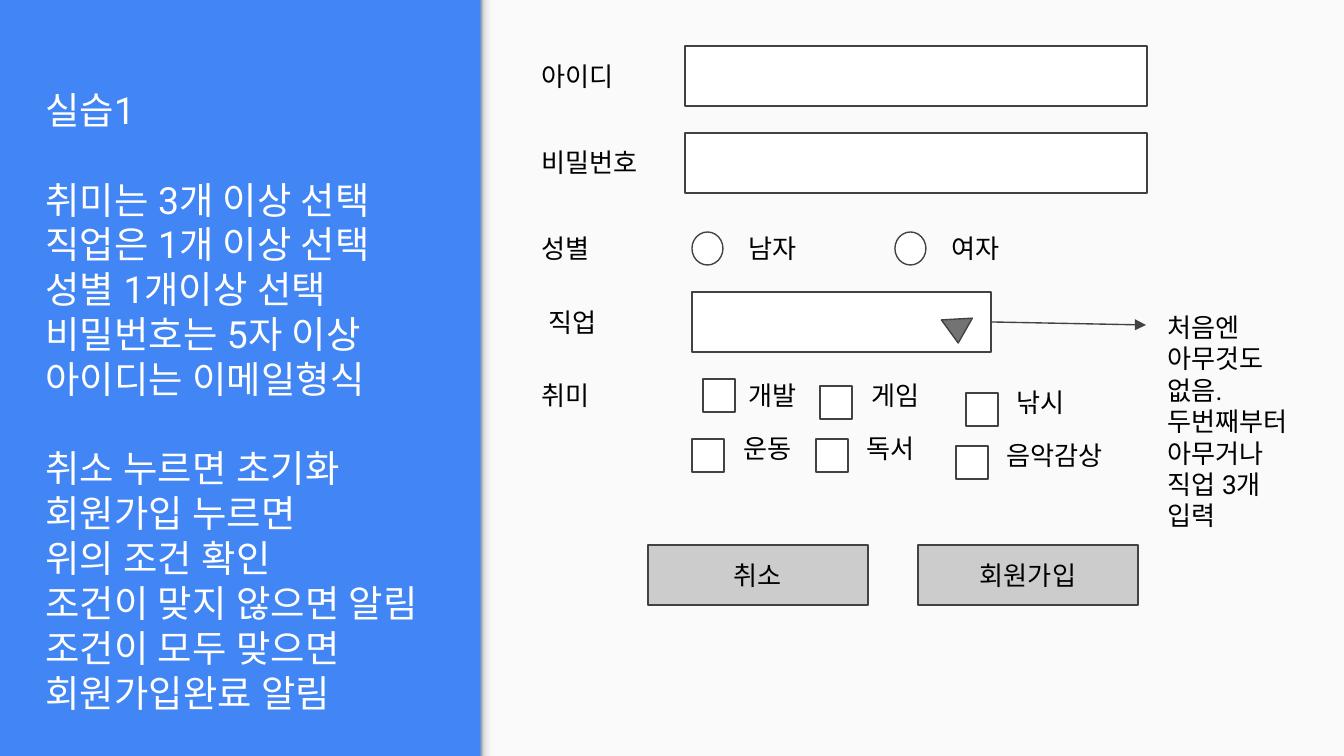
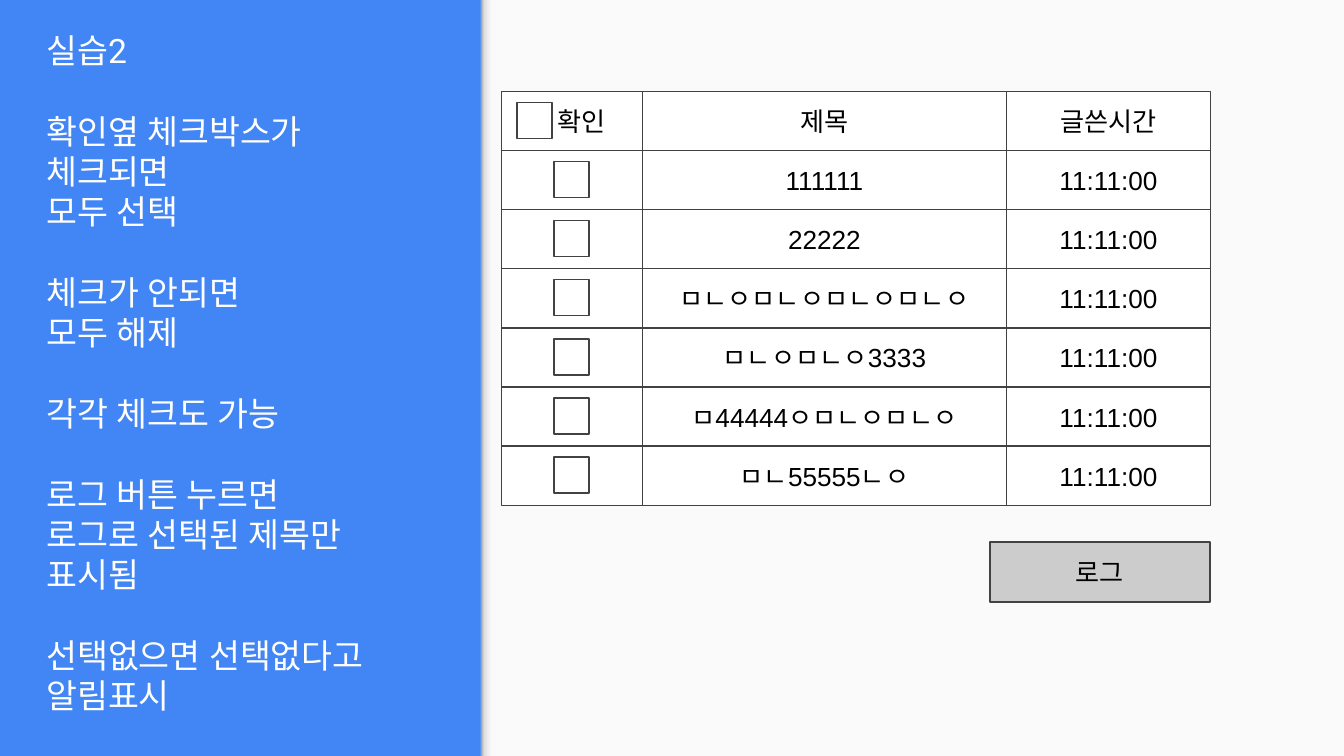
"""Build two exercise slides: a sign-up form and a checkable post list."""
from itertools import accumulate
from lxml.etree import SubElement
from pptx import Presentation
from pptx.dml.color import RGBColor
from pptx.enum.shapes import MSO_CONNECTOR as Connector, MSO_SHAPE as Shape
from pptx.enum.text import MSO_ANCHOR as Anchor, PP_ALIGN as Align
from pptx.oxml.ns import qn
from pptx.util import Emu, Pt

COLORS = {
    "blue": "4285F4", "panel": "FAFAFA", "white": "FFFFFF", "black": "000000",
    "line": "424242", "button": "CCCCCC", "arrow": "737373",
}
EDGE_SHADE = [(0, "999999"), (20, "DEDEDE"), (64, "F9F9F9"), (100, "F9F9F9")]
PANEL_LEFT, WIDTH, HEIGHT = 481, 1344, 756
INSET, LINE_WIDTH, BODY_SIZE = 13.44, 0.75, 14
LABEL_SIZE, FIELD_HEIGHT = (144, 59), 60
BUTTON_SIZE = (220, 60)

FORM_GUIDE = [
    ["실습1"],
    ["취미는 3개 이상 선택", "직업은 1개 이상 선택", "성별 1개이상 선택",
     "비밀번호는 5자 이상", "아이디는 이메일형식"],
    ["취소 누르면 초기화", "회원가입 누르면", "위의 조건 확인",
     "조건이 맞지 않으면 알림", "조건이 모두 맞으면 회원가입완료 알림"],
]
LIST_GUIDE = [
    ["실습2"],
    ["확인옆 체크박스가", "체크되면", "모두 선택"],
    ["체크가 안되면", "모두 해제"],
    ["각각 체크도 가능"],
    ["로그 버튼 누르면", "로그로 선택된 제목만 표시됨"],
    ["선택없으면 선택없다고 알림표시"],
]
FORM_LABELS = [("아이디", 528, 47), ("비밀번호", 528, 133), ("성별", 528, 219),
               ("직업", 535, 293), ("취미", 528, 366)]
INPUT_TOPS = [46, 133]
GENDERS = [("남자", 692), ("여자", 895)]
HOBBIES = [
    ("개발", (703, 379), (735, 366)), ("게임", (820, 386), (858, 366)),
    ("낚시", (966, 393), (1003, 373)), ("운동", (692, 439), (730, 419)),
    ("독서", (816, 439), (853, 419)), ("음악감상", (956, 446), (993, 426)),
]
FORM_BUTTONS = [("취소", 648), ("회원가입", 918)]
JOB_NOTE = ["처음엔 아무것도 없음.", "두번째부터 아무거나 직업 3개 입력"]

POST_HEADER = ["확인", "제목", "글쓴시간"]
POST_TITLES = ["111111", "22222", "ㅁㄴㅇㅁㄴㅇㅁㄴㅇㅁㄴㅇ", "ㅁㄴㅇㅁㄴㅇ3333",
               "ㅁ44444ㅇㅁㄴㅇㅁㄴㅇ", "ㅁㄴ55555ㄴㅇ"]
POST_TIME = "11:11:00"
LIST_LEFT, LIST_TOP, ROW_HEIGHT = 501.5, 91.4, 59.14
COLUMN_WIDTHS = [141, 364, 204]


def px(value):
    return Emu(round(value * 914400 / 134.4))


def color(name):
    return RGBColor.from_string(COLORS[name])


def add_run(paragraph, text, size, font, text_color):
    run = paragraph.add_run()
    run.text = text
    run.font.size, run.font.name = Pt(size), font
    run.font.color.rgb = color(text_color)
    SubElement(run.font._element, qn("a:ea"), typeface=font)


def set_margins(frame, left=INSET):
    frame.margin_left = px(left)
    frame.margin_right = frame.margin_top = frame.margin_bottom = px(INSET)


def add_shape(slide, kind, left, top, width, height, fill="white", line="line"):
    shape = slide.shapes.add_shape(kind, px(left), px(top), px(width), px(height))
    shape.shadow.inherit = False
    shape.fill.solid()
    shape.fill.fore_color.rgb = color(fill)
    if line:
        shape.line.color.rgb = color(line)
        shape.line.width = Pt(LINE_WIDTH)
    else:
        shape.line.fill.background()
    return shape


def add_text(slide, groups, left, top, width, height, size=BODY_SIZE,
             text_color="black", anchor=Anchor.TOP):
    frame = slide.shapes.add_textbox(px(left), px(top), px(width), px(height)).text_frame
    frame.word_wrap, frame.vertical_anchor = True, anchor
    set_margins(frame)
    paragraph = None
    for group in groups:
        for index, text in enumerate(group):
            first = paragraph is None
            paragraph = frame.paragraphs[0] if first else frame.add_paragraph()
            if index == 0 and not first:
                paragraph.space_before = Pt(size * 1.2)
            add_run(paragraph, text, size, "Roboto", text_color)


def add_label(slide, text, left, top):
    add_text(slide, [[text]], left, top, *LABEL_SIZE)


def add_box(slide, text, left, top, width, height, fill="white", left_inset=INSET):
    frame = add_shape(slide, Shape.RECTANGLE, left, top, width, height, fill).text_frame
    frame.vertical_anchor = Anchor.MIDDLE
    set_margins(frame, left_inset)
    if text:
        frame.paragraphs[0].alignment = Align.CENTER
        add_run(frame.paragraphs[0], text, BODY_SIZE, "Arial", "black")


def add_slide(presentation, guide, box, size):
    slide = presentation.slides.add_slide(presentation.slide_layouts[6])
    slide.background.fill.solid()
    slide.background.fill.fore_color.rgb = color("blue")
    add_shape(slide, Shape.RECTANGLE, PANEL_LEFT, 0, WIDTH - PANEL_LEFT, HEIGHT, "panel", None)
    edge = add_shape(slide, Shape.RECTANGLE, PANEL_LEFT, 0, 16, HEIGHT, "panel", None)
    edge.fill.gradient()
    edge.fill.gradient_angle = 0
    stops = edge._element.spPr.find(".//" + qn("a:gsLst"))
    stops.clear()
    for position, shade in EDGE_SHADE:
        stop = SubElement(stops, qn("a:gs"), pos=str(position * 1000))
        SubElement(stop, qn("a:srgbClr"), val=shade)
    add_text(slide, guide, *box, size, "white", Anchor.BOTTOM)
    return slide


def add_arrow(slide, start, end):
    arrow = slide.shapes.add_connector(Connector.STRAIGHT, *map(px, start + end))
    arrow.line.color.rgb = color("line")
    arrow.line.width = Pt(LINE_WIDTH)
    SubElement(arrow.line._get_or_add_ln(), qn("a:tailEnd"), type="triangle")
    SubElement(arrow._element.spPr, qn("a:effectLst"))


def build_form(presentation):
    slide = add_slide(presentation, FORM_GUIDE, (32, 76, 413, 652), 20)
    for top in INPUT_TOPS:
        add_shape(slide, Shape.RECTANGLE, 685, top, 462, FIELD_HEIGHT)
    for label in FORM_LABELS:
        add_label(slide, *label)
    for text, left in GENDERS:
        add_shape(slide, Shape.OVAL, left, 232, 31, 33)
        add_label(slide, text, left + 43, 219)
    add_shape(slide, Shape.RECTANGLE, 692, 292, 299, FIELD_HEIGHT)
    add_shape(slide, Shape.ISOSCELES_TRIANGLE, 942, 319, 31, 24, "arrow").rotation = 176.8
    for text, box, label in HOBBIES:
        add_shape(slide, Shape.RECTANGLE, *box, 32, 33)
        add_label(slide, text, *label)
    for text, left in FORM_BUTTONS:
        add_box(slide, text, left, 545, *BUTTON_SIZE, "button")
    add_arrow(slide, (992, 322), (1146, 325))
    add_text(slide, [JOB_NOTE], 1154, 298, 165, 249)


def build_list(presentation):
    slide = add_slide(presentation, LIST_GUIDE, (33, 51, 413, 678), 18)
    rows = [POST_HEADER] + [["", title, POST_TIME] for title in POST_TITLES]
    lefts = list(accumulate(COLUMN_WIDTHS, initial=LIST_LEFT))
    for row_index, texts in enumerate(rows):
        top = LIST_TOP + ROW_HEIGHT * row_index
        for column_index, (text, left, width) in enumerate(zip(texts, lefts, COLUMN_WIDTHS)):
            beside_box = row_index == column_index == 0
            add_box(slide, text, left, top, width, ROW_HEIGHT,
                    left_inset=33 if beside_box else INSET)
        add_shape(slide, Shape.RECTANGLE, 554 if row_index else 517, top + 11, 35, 36)
    add_box(slide, "로그", 990, 542, *BUTTON_SIZE, "button")


presentation = Presentation()
presentation.slide_width, presentation.slide_height = px(WIDTH), px(HEIGHT)
build_form(presentation)
build_list(presentation)
presentation.save("out.pptx")
